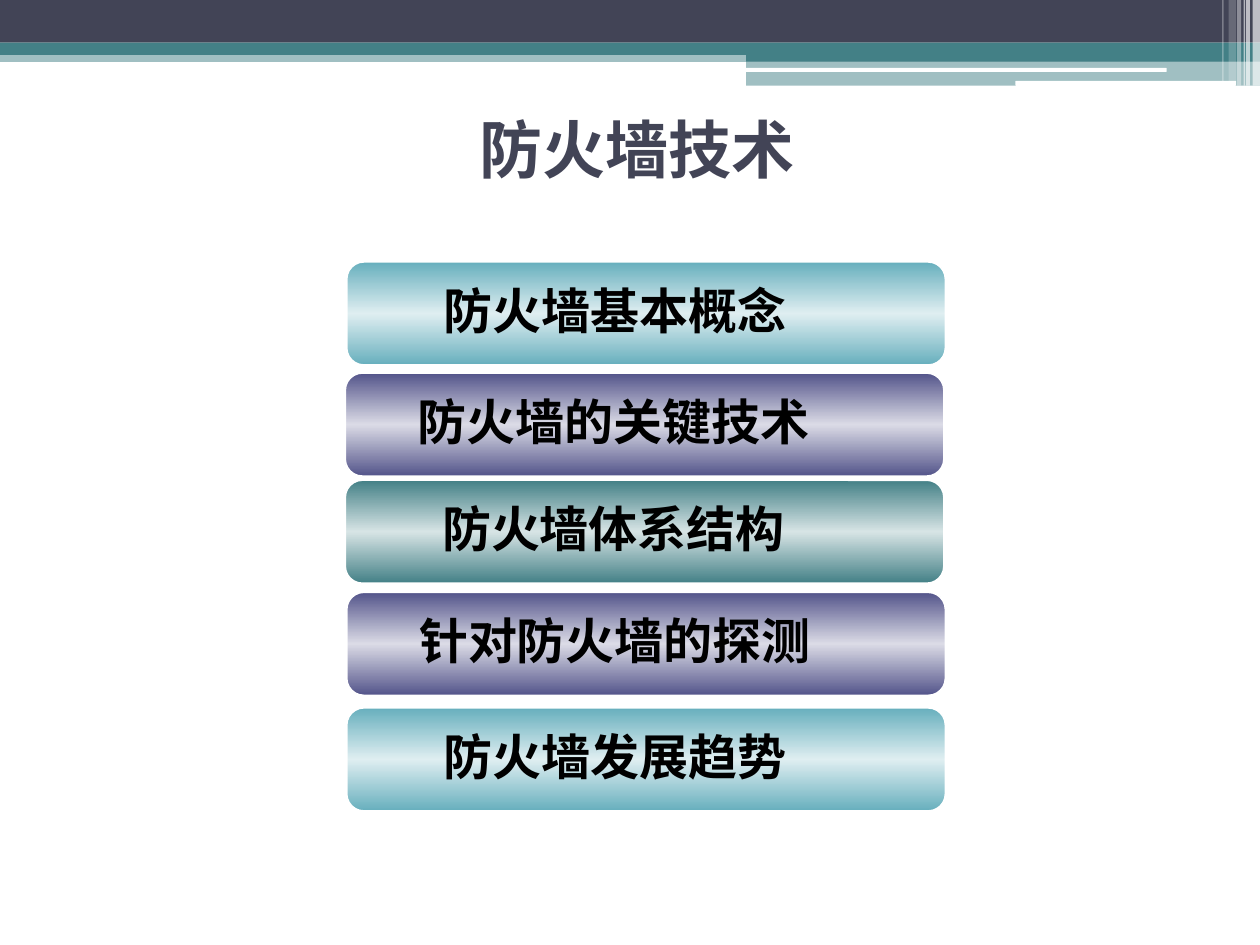
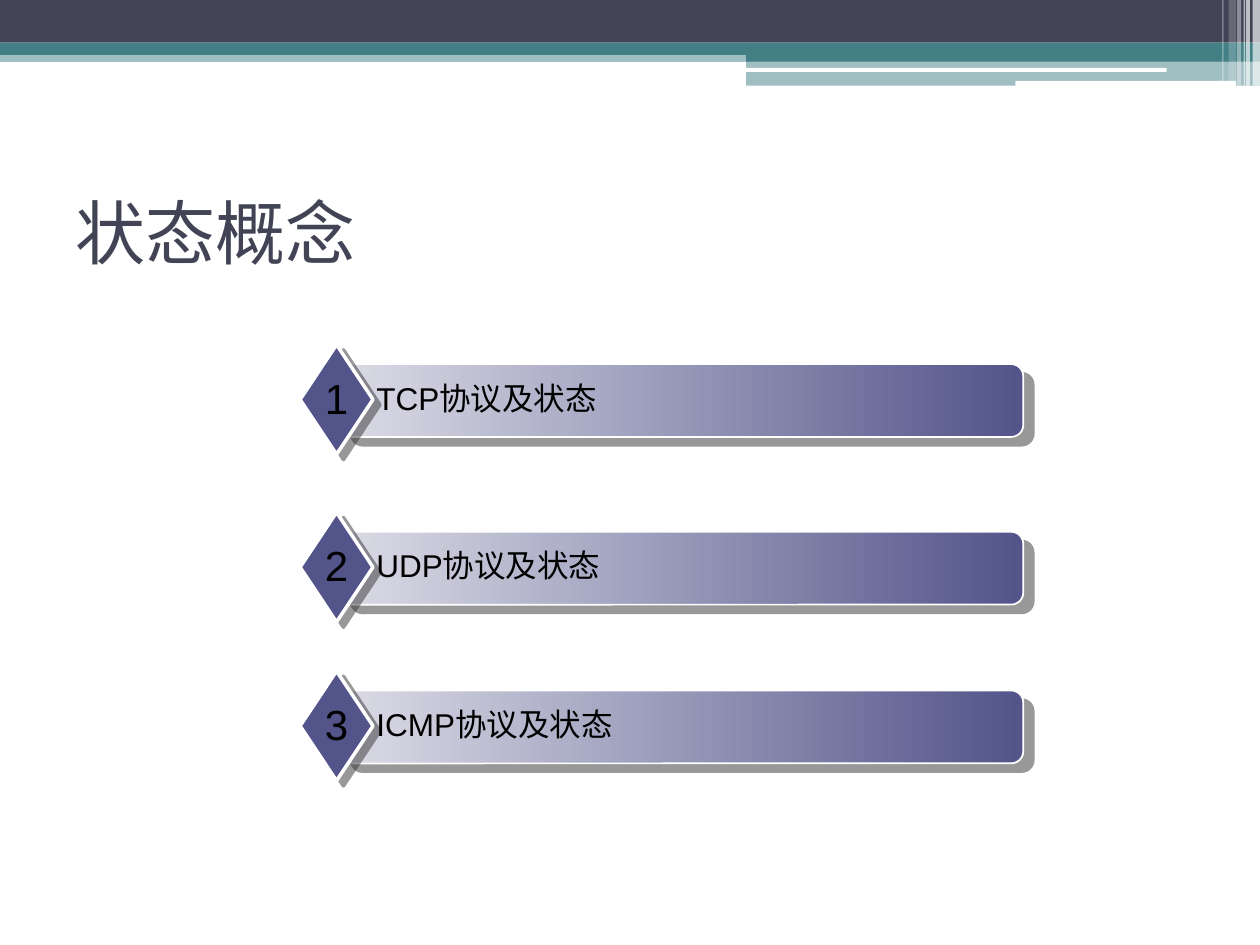
from dataclasses import dataclass
from typing import NamedTuple, Optional

from lxml import etree
from pptx import Presentation
from pptx.dml.color import RGBColor
from pptx.enum.lang import MSO_LANGUAGE_ID
from pptx.enum.shapes import MSO_SHAPE
from pptx.enum.text import MSO_ANCHOR, MSO_AUTO_SIZE, PP_ALIGN
from pptx.oxml import parse_xml
from pptx.oxml.ns import nsdecls, qn
from pptx.util import Cm, Pt

RECT = MSO_SHAPE.RECTANGLE
ROUND = MSO_SHAPE.ROUNDED_RECTANGLE
DIAMOND = MSO_SHAPE.DIAMOND
LEFT = PP_ALIGN.LEFT
CENTER = PP_ALIGN.CENTER
MIDDLE = MSO_ANCHOR.MIDDLE
GROW = MSO_AUTO_SIZE.SHAPE_TO_FIT_TEXT
CHINESE = MSO_LANGUAGE_ID.SIMPLIFIED_CHINESE
TITLE_ONLY = 5


@dataclass(frozen=True)
class Theme:
    ink: str = "424456"
    teal: str = "438086"
    pale_teal: str = "D7E4E5"
    violet: str = "53548A"
    pale_violet: str = "DBDBE6"
    aqua: str = "67AFBD"
    pale_aqua: str = "DFEEF1"
    white: str = "FFFFFF"
    black: str = "000000"
    shadow: str = "333333"
    title_font: str = "Roboto"
    body_font: str = "Arial"
    chapter_size: int = 36
    title_size: int = 40
    topic_size: int = 28
    number_size: int = 24
    protocol_size: int = 18


THEME = Theme()


class Box(NamedTuple):
    left: float
    top: float
    width: float
    height: float


class Band(NamedTuple):
    box: Box
    color: str
    opacity: int = 100
    kind: int = RECT


class Shadow(NamedTuple):
    distance: float
    angle: int


class TextStyle(NamedTuple):
    size: int
    font: str = THEME.body_font
    color: str = THEME.black
    bold: bool = False
    align: int = LEFT


class Topic(NamedTuple):
    text: str
    left: float
    top: float
    edge: str
    center: str


class Protocol(NamedTuple):
    text: str
    top: float


BANDS = [
    Band(Box(0, 1.02, 25.4, 0.23), THEME.teal, 50),
    Band(Box(0, 0, 25.4, 0.86), THEME.ink),
    Band(Box(0, 0.86, 25.4, 0.25), THEME.teal),
    Band(Box(15.04, 0.99, 10.36, 0.25), THEME.teal),
    Band(Box(15.04, 1.22, 10.36, 0.51), THEME.teal, 50),
    Band(Box(15.01, 1.37, 8.51, 0.08), THEME.white, kind=ROUND),
    Band(Box(20.47, 1.63, 4.45, 0.1), THEME.white, kind=ROUND),
    Band(Box(25.25, 0, 0.15, 1.73), THEME.white, 65),
    Band(Box(25.12, 0, 0.08, 1.73), THEME.white, 65),
    Band(Box(25.07, 0, 0.03, 1.73), THEME.white, 60),
    Band(Box(24.94, 0, 0.08, 1.73), THEME.white, 40),
    Band(Box(24.77, 0, 0.15, 1.63), THEME.white, 20),
    Band(Box(24.64, 0, 0.03, 1.63), THEME.white, 30),
]

TOPICS = [
    Topic("防火墙基本概念", 6.99, 5.28, THEME.aqua, THEME.pale_aqua),
    Topic("防火墙的关键技术", 6.96, 7.52, THEME.violet, THEME.pale_violet),
    Topic("防火墙体系结构", 6.96, 9.68, THEME.teal, THEME.pale_teal),
    Topic("针对防火墙的探测", 6.99, 11.94, THEME.violet, THEME.pale_violet),
    Topic("防火墙发展趋势", 6.99, 14.27, THEME.aqua, THEME.pale_aqua),
]

PROTOCOLS = [
    Protocol("TCP协议及状态", 7.34),
    Protocol("UDP协议及状态", 10.72),
    Protocol("ICMP协议及状态", 13.92),
]

CHAPTER_STYLE = TextStyle(THEME.chapter_size, THEME.title_font, THEME.ink, True, CENTER)
TITLE_STYLE = TextStyle(THEME.title_size, THEME.title_font, THEME.ink)
TOPIC_STYLE = TextStyle(THEME.topic_size, bold=True, align=CENTER)
NUMBER_STYLE = TextStyle(THEME.number_size)
PROTOCOL_STYLE = TextStyle(THEME.protocol_size)


def rgb(color: str) -> RGBColor:
    return RGBColor.from_string(color)


def write(frame, text: str, style: TextStyle) -> None:
    frame.text = text
    paragraph = frame.paragraphs[0]
    paragraph.alignment = style.align
    font = paragraph.runs[0].font
    font.name = style.font
    font.size = Pt(style.size)
    font.bold = style.bold
    font.color.rgb = rgb(style.color)
    font.language_id = CHINESE


def add_title(slide, text: str, box: Box, style: TextStyle) -> None:
    title = slide.shapes.title
    title.left, title.top, title.width, title.height = map(Cm, box)
    title.text_frame.vertical_anchor = MIDDLE
    write(title.text_frame, text, style)


def add_label(slide, text: str, box: Box, style: TextStyle, wrap: bool = True) -> None:
    frame = slide.shapes.add_textbox(*map(Cm, box)).text_frame
    frame.word_wrap = wrap
    frame.auto_size = GROW
    write(frame, text, style)


def add_figure(slide, kind: int, box: Box, colors: list[str], angle: int = 0,
               border: float = 0, shadow: Optional[Shadow] = None):
    figure = slide.shapes.add_shape(kind, *map(Cm, box))
    if len(colors) == 1:
        figure.fill.solid()
        figure.fill.fore_color.rgb = rgb(colors[0])
    else:
        step = 100000 // (len(colors) - 1)
        stops = "".join(f'<a:gs pos="{i * step}"><a:srgbClr val="{color}"/></a:gs>'
                        for i, color in enumerate(colors))
        figure.element.spPr.append(parse_xml(
            f'<a:gradFill {nsdecls("a")} rotWithShape="1"><a:gsLst>{stops}</a:gsLst>'
            f'<a:lin ang="{angle * 60000}" scaled="0"/></a:gradFill>'))
    if border:
        figure.line.color.rgb = rgb(THEME.white)
        figure.line.width = Pt(border)
    else:
        figure.line.fill.background()
    figure.shadow.inherit = False
    if shadow:
        effects = figure.element.spPr.find(qn("a:effectLst"))
        effects.append(parse_xml(
            f'<a:outerShdw {nsdecls("a")} dist="{Pt(shadow.distance)}" '
            f'dir="{shadow.angle * 60000}" algn="ctr" rotWithShape="0">'
            f'<a:srgbClr val="{THEME.shadow}"><a:alpha val="50000"/></a:srgbClr>'
            '</a:outerShdw>'))
    return figure


def move_bands_to_layout(slide) -> None:
    layout_tree = slide.slide_layout.shapes.element
    for number, band in enumerate(BANDS, start=101):
        strip = add_figure(slide, band.kind, band.box, [band.color])
        if band.opacity < 100:
            color = strip.element.spPr.find(qn("a:solidFill"))[0]
            etree.SubElement(color, qn("a:alpha")).set("val", str(band.opacity * 1000))
        strip.element.nvSpPr.cNvPr.set("id", str(number))
        layout_tree.append(strip.element)


def add_topic(slide, topic: Topic) -> None:
    add_figure(slide, ROUND, Box(topic.left, topic.top, 12.07, 2.08),
               [topic.edge, topic.center, topic.edge], angle=90, border=1)
    add_label(slide, topic.text, Box(topic.left + 0.64, topic.top + 0.25, 9.53, 1.45),
              TOPIC_STYLE)


def add_protocol(slide, number: int, protocol: Protocol) -> None:
    top = protocol.top
    add_figure(slide, ROUND, Box(6.86, top, 13.77, 1.47),
               [THEME.pale_violet, THEME.violet], border=1, shadow=Shadow(7.8, 40))
    add_figure(slide, DIAMOND, Box(6.05, top - 0.39, 1.47, 2.21),
               [THEME.violet], border=2, shadow=Shadow(5, 37))
    add_label(slide, protocol.text, Box(7.34, top + 0.17, 12.67, 1.02), PROTOCOL_STYLE)
    add_label(slide, str(number), Box(6.3, top + 0.04, 0.97, 1.27), NUMBER_STYLE, wrap=False)


def main() -> None:
    deck = Presentation()
    deck.slide_width, deck.slide_height = Cm(25.4), Cm(19.05)
    layout = deck.slide_layouts[TITLE_ONLY]

    chapter = deck.slides.add_slide(layout)
    move_bands_to_layout(chapter)
    add_title(chapter, "防火墙技术", Box(0.3, 1.6, 25.1, 2.77), CHAPTER_STYLE)
    for topic in TOPICS:
        add_topic(chapter, topic)

    states = deck.slides.add_slide(layout)
    add_title(states, "状态概念", Box(1.27, 3.18, 22.86, 2.97), TITLE_STYLE)
    for number, protocol in enumerate(PROTOCOLS, start=1):
        add_protocol(states, number, protocol)

    deck.save("out.pptx")


if __name__ == "__main__":
    main()
